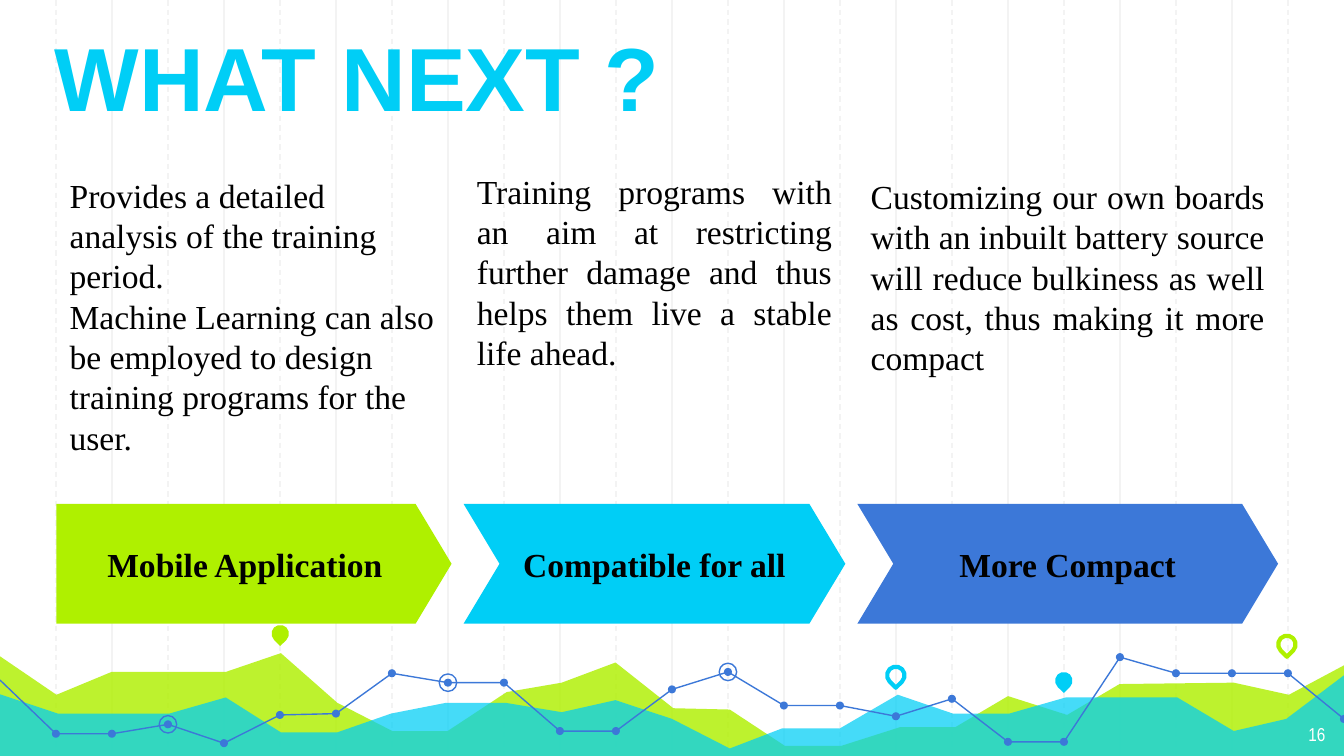
from lxml import etree
from pptx import Presentation
from pptx import util as u
from pptx.dml.color import RGBColor
from pptx.enum import dml, shapes, text
from pptx.oxml.ns import qn

COLORS = {"lime": "AFF000", "cyan": "00CEF6", "blue": "3C78D8",
          "grid": "F3F3F3", "black": "000000", "white": "FFFFFF"}
SHAPE = shapes.MSO_SHAPE
ALIGN = text.PP_ALIGN
ANCHOR = text.MSO_ANCHOR
BODY_FONT = "Times New Roman"
SLIDE_WIDTH = 10
SLIDE_HEIGHT = SLIDE_WIDTH * 9 / 16
PITCH = SLIDE_WIDTH / 24

LIME_AREA = [
    (-0.02, 4.87), (0.42, 5.17), (0.83, 5), (1.68, 5), (2.09, 4.86), (2.51, 5.23),
    (2.92, 5.44), (3.33, 5.44), (3.77, 5.15), (4.18, 5.08), (4.58, 4.93), (5.01, 5.27),
    (5.43, 5.28), (5.84, 5.55), (6.26, 5.55), (6.7, 5.41), (7.11, 5.41), (7.5, 5.18),
    (7.94, 5.32), (8.33, 5.09), (9.18, 5.08), (9.59, 5.17), (10.02, 4.94),
    (10.01, 5.64), (-0.03, 5.64)]
CYAN_AREA = [
    (-0.02, 5.16), (0.43, 5.31), (1.26, 5.31), (1.68, 5.19), (2.09, 5.45), (2.51, 5.45),
    (2.91, 5.31), (3.32, 5.23), (3.76, 5.23), (4.18, 5.3), (4.58, 5.21), (5, 5.35),
    (5.43, 5.57), (5.82, 5.42), (6.25, 5.42), (6.68, 5.17), (7.09, 5.31), (7.51, 5.31),
    (7.93, 5.19), (8.76, 5.19), (9.18, 5.44), (9.57, 5.35), (10.02, 5.01),
    (10.02, 5.65), (-0.03, 5.65)]
# Heights of the trend line, one for each grid step
TREND = [5.06, 5.46, 5.46, 5.39, 5.53, 5.32, 5.31, 5.01, 5.08, 5.08, 5.44, 5.44, 5.13,
         5, 5.25, 5.25, 5.33, 5.2, 5.52, 5.52, 4.89, 5.01, 5.01, 5.01, 5.35]
TREND_BREAKS = [0, 11, 20, 24]
RINGED_STEPS = [8, 3, 13]
# Left, top, colour, solid
PINS = [(2.02, 4.65, "lime", True), (6.6, 4.96, "cyan", False),
        (7.85, 5, "cyan", True), (9.51, 4.73, "lime", False)]
# Left, width, arrow shape, colour, heading, text top, alignment, paragraphs
COLUMNS = [
    (0.42, 2.94, SHAPE.PENTAGON, "lime", "Mobile Application", 1.2, ALIGN.LEFT,
     ["Provides a detailed analysis of the training period.",
      "Machine Learning can also be employed to design training programs for the user."]),
    (3.45, 2.84, SHAPE.CHEVRON, "cyan", "Compatible for all", 1.17, ALIGN.JUSTIFY,
     ["Training programs with an aim at restricting further damage and thus helps them "
      "live a stable life ahead."]),
    (6.38, 3.13, SHAPE.CHEVRON, "blue", "More Compact", 1.21, ALIGN.JUSTIFY,
     ["Customizing our own boards with an inbuilt battery source will reduce bulkiness "
      "as well as cost, thus making it more compact"]),
]


def rgb(name):
    return RGBColor.from_string(COLORS[name])


def inches(*values):
    return [u.Inches(value) for value in values]


def paint(shape, fill=None, line=None, width=0.75, alpha=None):
    """Set fill and outline; a missing colour means none, alpha is in percent."""
    shape.shadow.inherit = False
    if fill:
        shape.fill.solid()
        shape.fill.fore_color.rgb = rgb(fill)
        if alpha:
            color = shape.fill._xPr.find(".//" + qn("a:srgbClr"))
            etree.SubElement(color, qn("a:alpha"), val=str(alpha * 1000))
    else:
        shape.fill.background()
    if line:
        shape.line.color.rgb = rgb(line)
        shape.line.width = u.Pt(width)
    else:
        shape.line.fill.background()


def write(shape, paragraphs, size, font, color, align, anchor=ANCHOR.TOP, bold=False):
    frame = shape.text_frame
    frame.word_wrap = True
    frame.auto_size = text.MSO_AUTO_SIZE.NONE
    frame.vertical_anchor = anchor
    frame.margin_left = frame.margin_right = u.Inches(0.1)
    frame.margin_top = frame.margin_bottom = u.Inches(0.1)
    frame.text = "\n".join(paragraphs)
    for paragraph in frame.paragraphs:
        paragraph.alignment = align
        paragraph.font.size = u.Pt(size)
        paragraph.font.name = font
        paragraph.font.bold = bold
        paragraph.font.color.rgb = rgb(color)


def add_grid_line(slide, step):
    x = step * PITCH
    line = slide.shapes.add_connector(shapes.MSO_CONNECTOR.STRAIGHT, *inches(x, 0, x, 5.65))
    line.line.color.rgb = rgb("grid")
    line.line.width = u.Pt(0.75)
    if step % 2:
        line.line.dash_style = dml.MSO_LINE.DASH
    etree.SubElement(line._element.spPr, qn("a:effectLst"))


def add_path(slide, points, close, **style):
    start, *rest = [inches(*point) for point in points]
    builder = slide.shapes.build_freeform(*start)
    builder.add_line_segments(rest, close=close)
    paint(builder.convert_to_shape(), **style)


def add_circle(slide, step, diameter, **style):
    """Centre a circle on the trend line at a grid step."""
    left, top = step * PITCH - diameter / 2, TREND[step] - diameter / 2
    circle = slide.shapes.add_shape(SHAPE.OVAL, *inches(left, top, diameter, diameter))
    paint(circle, **style)


def add_pin(slide, left, top, color, solid):
    pin = slide.shapes.add_shape(SHAPE.TEAR, *inches(left, top, 0.13, 0.13))
    pin.rotation = 135
    if solid:
        paint(pin, fill=color)
    else:
        paint(pin, line=color, width=2.25)


def add_trend(slide):
    points = [(step * PITCH, y) for step, y in enumerate(TREND)]
    for first, last in zip(TREND_BREAKS, TREND_BREAKS[1:]):
        add_path(slide, points[first:last + 1], False, line="blue")
    for step in range(1, len(TREND)):
        add_circle(slide, step, 0.06, fill="blue")
    for step in RINGED_STEPS:
        add_circle(slide, step, 0.13, line="blue")


def add_title(slide, words):
    title = slide.shapes.title
    title.left, title.top, title.width, title.height = inches(0.15, 0.28, 5.02, 0.78)
    write(title, [words], 48, "Arial", "cyan", ALIGN.CENTER, ANCHOR.BOTTOM, True)
    slide.shapes._spTree.append(title._element)  # in front of the grid


def add_arrow(slide, left, width, kind, color, heading):
    arrow = slide.shapes.add_shape(kind, *inches(left, 3.75, width, 0.89))
    arrow.adjustments[0] = 0.3
    paint(arrow, fill=color)
    write(arrow, [heading], 18, BODY_FONT, "black", ALIGN.CENTER, ANCHOR.MIDDLE, True)


def add_text(slide, box, paragraphs, size, font, color, align):
    write(slide.shapes.add_textbox(*inches(*box)), paragraphs, size, font, color, align)


def main():
    deck = Presentation()
    deck.slide_width, deck.slide_height = inches(SLIDE_WIDTH, SLIDE_HEIGHT)
    slide = deck.slides.add_slide(deck.slide_layouts[5])

    for step in [*range(2, 24, 2), *range(1, 24, 2)]:
        add_grid_line(slide, step)
    add_path(slide, LIME_AREA, True, fill="lime", alpha=82)
    add_path(slide, CYAN_AREA, True, fill="cyan", alpha=73)
    add_trend(slide)
    for pin in PINS:
        add_pin(slide, *pin)

    add_title(slide, "WHAT NEXT ?")
    for left, width, kind, color, heading, top, align, paragraphs in COLUMNS:
        add_arrow(slide, left, width, kind, color, heading)
        add_text(slide, (left, top, width, 2.29), paragraphs, 18, BODY_FONT, "black", align)
    add_text(slide, (9.36, 5.28, 0.6, 0.35), ["16"], 10, "Arial Narrow", "white", ALIGN.RIGHT)
    deck.save("out.pptx")


if __name__ == "__main__":
    main()
